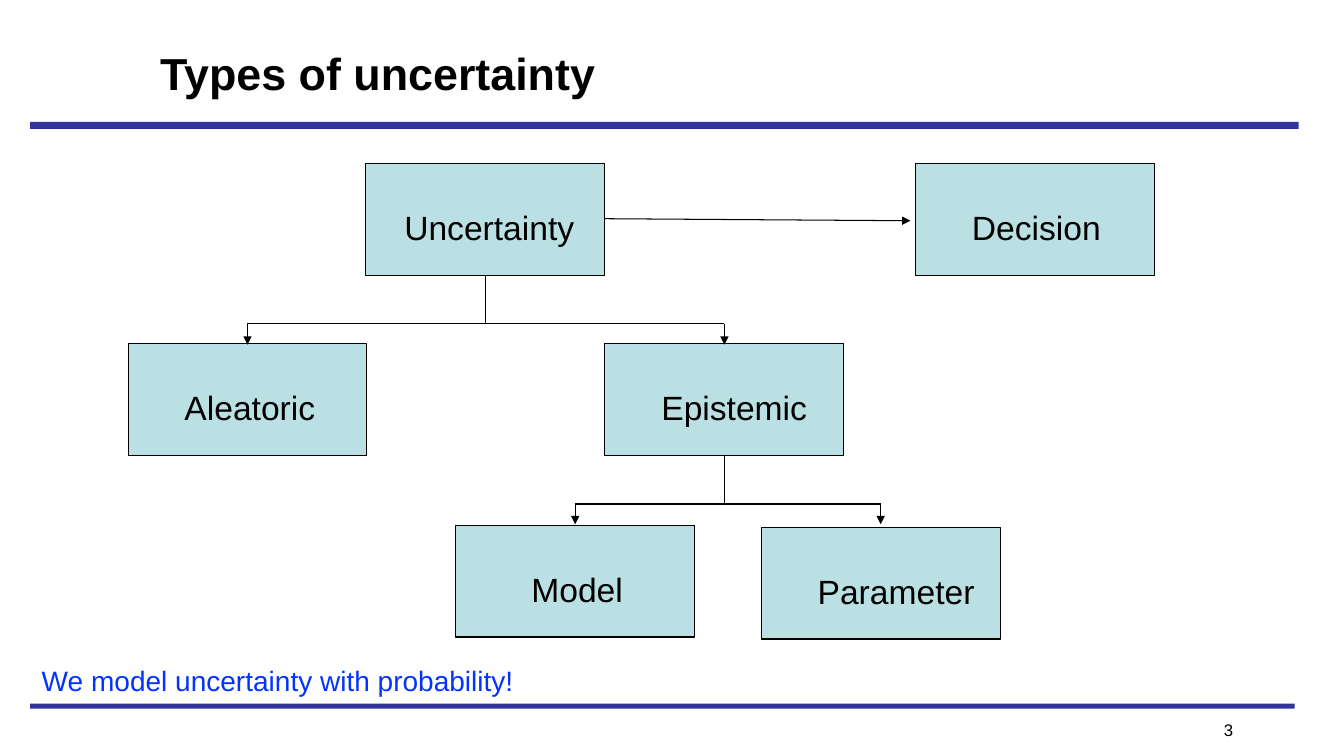
from dataclasses import dataclass

from lxml.etree import SubElement
from pptx import Presentation
from pptx.dml.color import RGBColor
from pptx.enum.shapes import MSO_CONNECTOR, MSO_SHAPE
from pptx.enum.text import MSO_ANCHOR, PP_ALIGN
from pptx.oxml.ns import qn
from pptx.util import Inches, Pt


@dataclass(frozen=True)
class Theme:
    font: str = "Arial"
    ink: str = "000000"
    rule: str = "333399"
    box: str = "BBE0E3"
    remark: str = "0432FF"
    title_size: int = 32
    box_size: int = 24
    remark_size: int = 20
    number_size: int = 12
    line_width: float = 0.75


THEME = Theme()
BOX_WIDTH, BOX_HEIGHT = 2.37, 1.11
ROW_TOPS = (1.62, 3.41)

# label: left, top, text inset
BOXES = {
    "Uncertainty": (3.63, ROW_TOPS[0], 0.38),
    "Decision": (9.08, ROW_TOPS[0], 0.56),
    "Aleatoric": (1.27, ROW_TOPS[1], 0.56),
    "Epistemic": (6, ROW_TOPS[1], 0.56),
    "Model": (4.52, 5.21, 0.75),
    "Parameter": (7.55, 5.23, 0.56),
}


def color(code):
    return RGBColor.from_string(code)


def write(frame, text, size, ink=THEME.ink, bold=False,
          align=PP_ALIGN.LEFT, anchor=MSO_ANCHOR.TOP):
    frame.word_wrap = True
    frame.vertical_anchor = anchor
    paragraph = frame.paragraphs[0]
    paragraph.alignment = align
    run = paragraph.add_run()
    run.text = text
    run.font.name = THEME.font
    run.font.size = Pt(size)
    run.font.bold = bold
    run.font.color.rgb = color(ink)


def add_text(slide, area, text, size, **style):
    label = slide.shapes.add_textbox(*map(Inches, area))
    write(label.text_frame, text, size, **style)


def add_rectangle(slide, area, fill, outline=None):
    rectangle = slide.shapes.add_shape(MSO_SHAPE.RECTANGLE, *map(Inches, area))
    rectangle.shadow.inherit = False
    rectangle.fill.solid()
    rectangle.fill.fore_color.rgb = color(fill)
    if outline:
        rectangle.line.color.rgb = color(outline)
        rectangle.line.width = Pt(THEME.line_width)
    else:
        rectangle.line.fill.background()
    return rectangle


def add_box(slide, text, left, top, inset):
    box = add_rectangle(slide, (left, top, BOX_WIDTH, BOX_HEIGHT),
                        THEME.box, THEME.ink)
    frame = box.text_frame
    frame.margin_left, frame.margin_top = Inches(inset), Inches(0.43)
    frame.margin_right = 0
    write(frame, text, THEME.box_size)


def add_line(slide, start, end, arrow=False):
    connector = slide.shapes.add_connector(
        MSO_CONNECTOR.STRAIGHT, *map(Inches, (*start, *end)))
    connector.line.color.rgb = color(THEME.ink)
    connector.line.width = Pt(THEME.line_width)
    if arrow:
        SubElement(connector.line._get_or_add_ln(), qn("a:tailEnd"),
                   type="triangle")
    SubElement(connector._element.spPr, qn("a:effectLst"))


def add_branch(slide, parent, children, tip):
    """Draw a stem below the parent and a bar with an arrow to each child."""
    left, top, _ = BOXES[parent]
    middle, bottom = left + BOX_WIDTH / 2, top + BOX_HEIGHT
    bar = bottom + 0.48
    ends = [BOXES[child][0] + BOX_WIDTH / 2 for child in children]
    add_line(slide, (middle, bottom), (middle, bar))
    add_line(slide, (ends[0], bar), (ends[-1], bar))
    for end in ends:
        add_line(slide, (end, bar), (end, tip), arrow=True)


def main():
    deck = Presentation()
    deck.slide_width, deck.slide_height = Inches(13.33), Inches(7.5)
    slide = deck.slides.add_slide(deck.slide_layouts[6])

    add_rectangle(slide, (0.3, 6.98, 12.54, 0.05), THEME.rule)
    add_rectangle(slide, (0.3, 1.21, 12.58, 0.07), THEME.rule)
    add_text(slide, (1.49, 0.26, 11.22, 0.92), "Types of uncertainty",
             THEME.title_size, bold=True, anchor=MSO_ANCHOR.MIDDLE)
    add_text(slide, (11.75, 7.09, 0.58, 0.35), "3",
             THEME.number_size, align=PP_ALIGN.RIGHT)

    for label, place in BOXES.items():
        add_box(slide, label, *place)
    add_branch(slide, "Uncertainty", ("Aleatoric", "Epistemic"), tip=3.42)
    add_branch(slide, "Epistemic", ("Model", "Parameter"), tip=5.2)
    add_line(slide, (6, 2.17), (9.03, 2.19), arrow=True)

    add_text(slide, (0.2, 6.53, 5.11, 0.44),
             "We model uncertainty with probability!",
             THEME.remark_size, ink=THEME.remark, align=PP_ALIGN.CENTER)
    deck.save("out.pptx")


if __name__ == "__main__":
    main()
